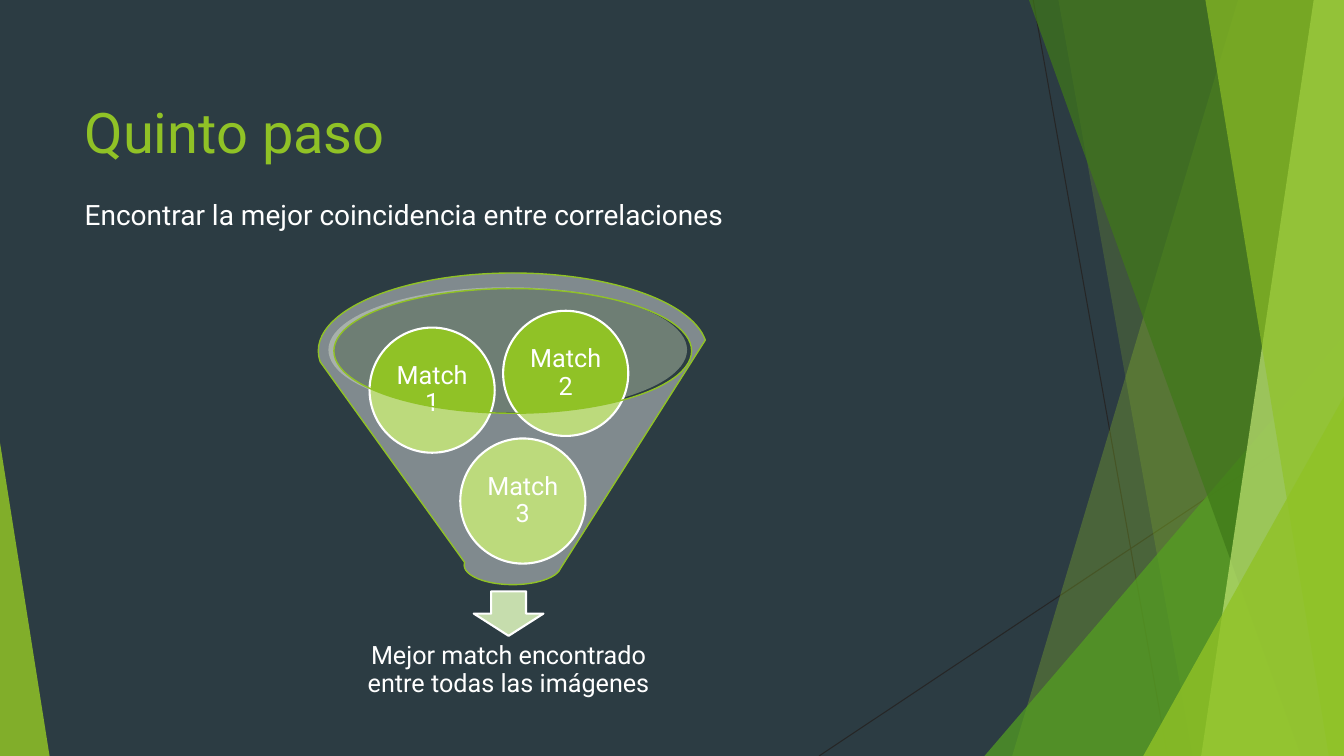
from lxml.etree import SubElement
from pptx import Presentation
from pptx.dml.color import RGBColor
from pptx.enum.shapes import MSO_CONNECTOR as Connector
from pptx.enum.shapes import MSO_SHAPE as Shape
from pptx.enum.text import MSO_ANCHOR as Anchor
from pptx.enum.text import PP_ALIGN as Align
from pptx.oxml.ns import qn
from pptx.util import Inches, Pt

COLUMNS, ROWS = 160, 90
CELL = Inches(1) / 12
FONT = "Roboto"
COLORS = {
    "night": "2C3C43",
    "thread": "262626",
    "lime": "90C226",
    "leaf": "54A021",
    "forest": "3F7819",
    "pale": "C0E474",
    "mist": "D1E3BE",
    "arrow": "C6DDAD",
    "white": "FFFFFF",
}


def grid(*cells):
    return [round(cell * CELL) for cell in cells]


def color(name):
    return RGBColor.from_string(COLORS[name])


def style(shape, fill, opacity=100, line=None, width=1):
    shape.shadow.inherit = False
    shape.fill.solid()
    shape.fill.fore_color.rgb = color(fill)
    if opacity < 100:
        tint = shape.fill._xPr.find(qn("a:solidFill"))[0]
        SubElement(tint, qn("a:alpha"), val=str(opacity * 1000))
    if line:
        shape.line.color.rgb = color(line)
        shape.line.width = Pt(width)
    else:
        shape.line.fill.background()


def add_thread(page, start, end):
    thread = page.shapes.add_connector(Connector.STRAIGHT, *grid(*start, *end))
    thread.line.color.rgb = color("thread")
    thread.line.width = Pt(0.75)
    SubElement(thread._element.spPr, qn("a:effectLst"))


def add_facet(page, top_left, bottom_left, fill, opacity):
    builder = page.shapes.build_freeform(*grid(top_left, 0), scale=1.0)
    corners = [(COLUMNS, 0), (COLUMNS, ROWS), (bottom_left, ROWS)]
    builder.add_line_segments([grid(*corner) for corner in corners], close=True)
    style(builder.convert_to_shape(), fill, opacity)


def add_preset(page, kind, place, fill, **look):
    shape = page.shapes.add_shape(kind, *grid(*place))
    style(shape, fill, **look)
    return shape


def add_corner(page, left, top, width, peak, fill, opacity):
    place = (left, top, width, ROWS - top)
    corner = add_preset(page, Shape.ISOSCELES_TRIANGLE, place, fill, opacity=opacity)
    corner.adjustments[0] = peak


def write(frame, text, size, tint="white", anchor=Anchor.TOP,
          align=Align.LEFT, inset=None, leading=None, before=0):
    frame.word_wrap = True
    frame.vertical_anchor = anchor
    if inset is not None:
        frame.margin_left = frame.margin_right = Inches(inset)
        frame.margin_top = frame.margin_bottom = Inches(inset)
    para = frame.paragraphs[0]
    para.alignment = align
    para.line_spacing = leading
    para.space_before = Pt(before)
    span = para.add_run()
    span.text = text
    span.font.name = FONT
    span.font.size = Pt(size)
    span.font.color.rgb = color(tint)


def add_text(page, place, text, size, **look):
    box = page.shapes.add_textbox(*grid(*place))
    write(box.text_frame, text, size, **look)


def add_backdrop(page):
    page.background.fill.solid()
    page.background.fill.fore_color.rgb = color("night")
    add_thread(page, (123, 0), (139, ROWS))
    add_thread(page, (COLUMNS, 48.4), (97.5, ROWS))
    add_facet(page, 147.4, 120.5, "lime", 30)
    add_facet(page, 126, 142, "lime", 20)
    add_corner(page, 117.2, 40, 42.8, 1, "leaf", 72)
    add_facet(page, 122.5, 154.9, "forest", 70)
    add_facet(page, 156.4, 143, "pale", 70)
    add_facet(page, 143.5, 158.2, "lime", 65)
    add_corner(page, 136.1, 47.2, 23.9, 1, "lime", 80)
    add_corner(page, 0, 52.7, 5.9, 0, "lime", 85)


def add_match(page, number, left, top):
    ball = add_preset(page, Shape.OVAL, (left, top, 14.9, 14.9), "lime",
                      line="white", width=1.5)
    write(ball.text_frame, f"Match {number}", 18, anchor=Anchor.MIDDLE,
          align=Align.CENTER, inset=0.03, leading=0.9)


def add_funnel(page):
    add_preset(page, Shape.OVAL, (39.1, 34.2, 42.7, 14.9), "mist", opacity=40)
    add_preset(page, Shape.DOWN_ARROW, (56.4, 70.4, 8.3, 5.3), "arrow",
               line="white", width=1.5)
    add_text(page, (40.7, 74.8, 39.7, 10),
             "Mejor match encontrado entre todas las imágenes", 18,
             anchor=Anchor.MIDDLE, align=Align.CENTER, inset=0.14, leading=0.9)
    for number, left, top in [(3, 54.8, 52.2), (1, 44, 39), (2, 59.9, 37)]:
        add_match(page, number, left, top)
    add_preset(page, Shape.FUNNEL, (37.9, 32.5, 46.3, 37.1), "white",
               opacity=40, line="lime")


def main():
    deck = Presentation()
    deck.slide_width, deck.slide_height = grid(COLUMNS, ROWS)
    page = deck.slides.add_slide(deck.slide_layouts[6])
    add_backdrop(page)
    add_text(page, (8.9, -3.8, 112.8, 24), "Quinto paso", 40,
             tint="lime", anchor=Anchor.BOTTOM)
    add_text(page, (8.9, 22.9, 112.8, 11.3),
             "Encontrar la mejor coincidencia entre correlaciones", 20, before=10)
    add_funnel(page)
    deck.save("out.pptx")


if __name__ == "__main__":
    main()
